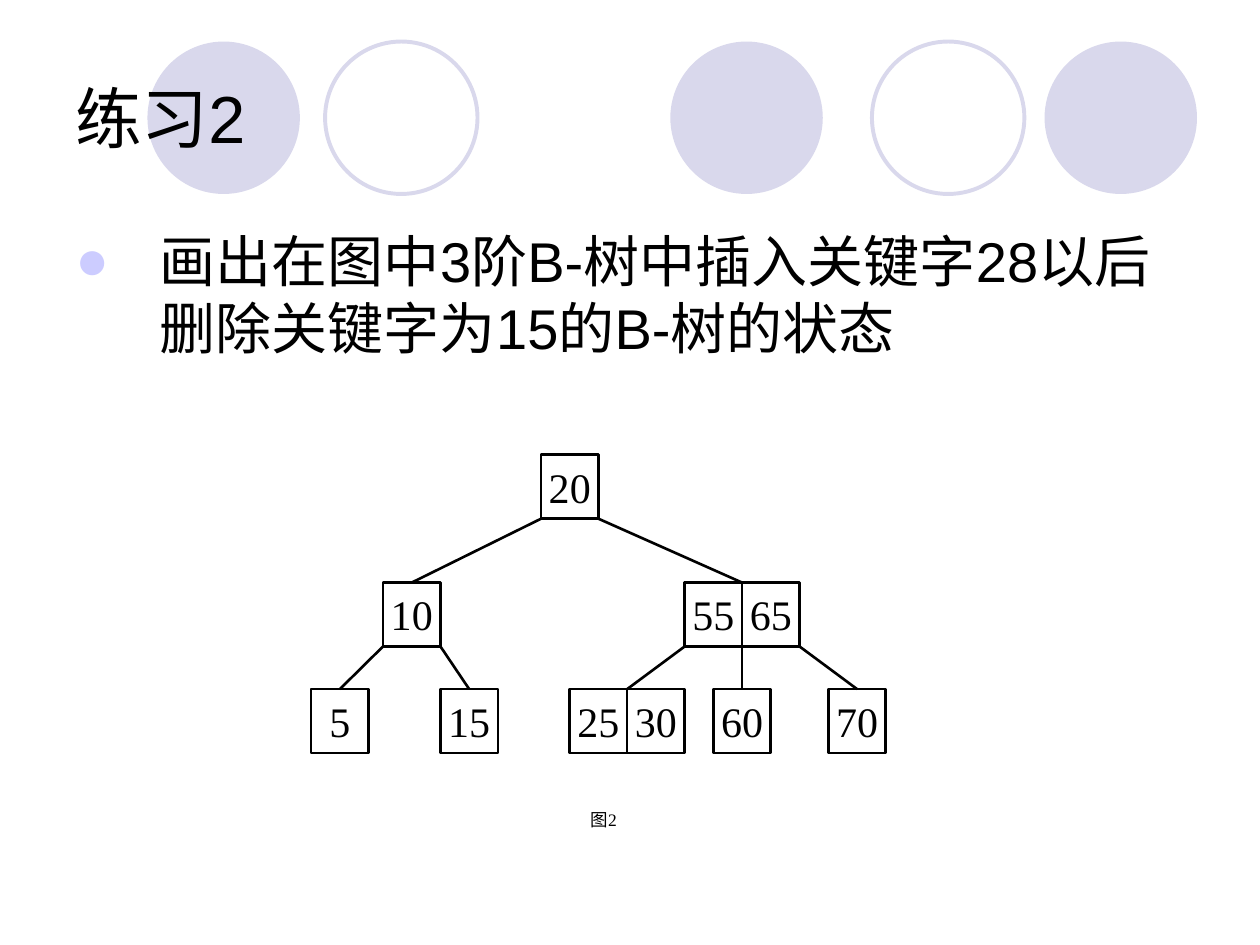
"""Build the B-tree exercise slide."""
from dataclasses import dataclass

from lxml import etree
from pptx import Presentation
from pptx.dml.color import RGBColor
from pptx.enum.shapes import MSO_CONNECTOR, MSO_SHAPE
from pptx.enum.text import MSO_ANCHOR, PP_ALIGN
from pptx.oxml.ns import qn
from pptx.util import Inches, Pt

OVAL, RECT = MSO_SHAPE.OVAL, MSO_SHAPE.RECTANGLE
STRAIGHT = MSO_CONNECTOR.STRAIGHT
TOP, MIDDLE = MSO_ANCHOR.TOP, MSO_ANCHOR.MIDDLE
LEFT, CENTER = PP_ALIGN.LEFT, PP_ALIGN.CENTER


@dataclass(frozen=True)
class Theme:
    ink: str = "000000"
    paper: str = "FFFFFF"
    circle: str = "D9D8EC"
    bullet: str = "CCCCFF"
    sans: str = "Arial"
    serif: str = "Times New Roman"
    title: int = 38
    body: int = 32
    key: int = 24
    caption: int = 10
    ring: float = 2.25
    edge: float = 1.5


@dataclass(frozen=True)
class Grid:
    left: float
    top: float
    col: float
    row: float

    def x(self, cols: float) -> int:
        return Inches(self.left + cols * self.col)

    def y(self, rows: float) -> int:
        return Inches(self.top + rows * self.row)

    def box(self, col: float, row: float, cols: float, rows: float) -> tuple:
        return (self.x(col), self.y(row),
                Inches(cols * self.col), Inches(rows * self.row))


@dataclass(frozen=True)
class Circle:
    col: float
    filled: bool


@dataclass(frozen=True)
class Node:
    col: int
    level: int
    keys: tuple


@dataclass(frozen=True)
class Edge:
    parent: str
    slot: int
    child: str


THEME = Theme()
PAGE = Grid(0, 0, 0.1, 0.1)
TREE = Grid(2.47, 3.61, 0.114, 0.169)
KEY_COLS, KEY_ROWS = 4, 3
LEVEL_ROWS = (0, 6, 11)
CIRCLE_ROW, CIRCLE_SIZE = 3.3, 12.1

CIRCLES = [Circle(53.2, True), Circle(82.9, True), Circle(11.7, True),
           Circle(69.2, False), Circle(25.8, False)]
NODES = {
    "root": Node(16, 0, ("20",)),
    "left": Node(5, 1, ("10",)),
    "right": Node(26, 1, ("55", "65")),
    "leaf1": Node(0, 2, ("5",)),
    "leaf2": Node(9, 2, ("15",)),
    "leaf3": Node(18, 2, ("25", "30")),
    "leaf4": Node(28, 2, ("60",)),
    "leaf5": Node(36, 2, ("70",)),
}
EDGES = [Edge("root", 0, "left"), Edge("root", 1, "right"),
         Edge("left", 0, "leaf1"), Edge("left", 1, "leaf2"),
         Edge("right", 0, "leaf3"), Edge("right", 1, "leaf4"),
         Edge("right", 2, "leaf5")]


def rgb(value: str) -> RGBColor:
    return RGBColor.from_string(value)


def add_shape(s, kind, box: tuple, fill: str | None = None,
              line: str | None = None, width: float = 0):
    """Add a flat preset shape."""
    sp = s.shapes.add_shape(kind, *box)
    sp.shadow.inherit = False
    if fill:
        sp.fill.solid()
        sp.fill.fore_color.rgb = rgb(fill)
    else:
        sp.fill.background()
    if line:
        sp.line.color.rgb = rgb(line)
        sp.line.width = Pt(width)
    else:
        sp.line.fill.background()
    return sp


def write(sp, text: str, size: int, font: str, align=LEFT, anchor=TOP):
    """Write one run and return its paragraph."""
    tf = sp.text_frame
    tf.word_wrap = True
    tf.vertical_anchor = anchor
    p = tf.paragraphs[0]
    p.alignment = align
    r = p.add_run()
    r.text = text
    r.font.size = Pt(size)
    r.font.name = font
    r.font.color.rgb = rgb(THEME.ink)
    return p


def add_bullet(p, indent: float) -> None:
    """Give a paragraph a coloured round bullet with a hanging indent."""
    pPr = p._p.get_or_add_pPr()
    pPr.set("marL", str(Inches(indent)))
    pPr.set("indent", str(-Inches(indent)))
    color = etree.SubElement(pPr, qn("a:buClr"))
    etree.SubElement(color, qn("a:srgbClr"), val=THEME.bullet)
    etree.SubElement(pPr, qn("a:buFont"), typeface=THEME.sans)
    etree.SubElement(pPr, qn("a:buChar"), char="●")


def add_node(s, node: Node) -> list:
    """Draw a node as one box per key."""
    boxes = []
    for i, key in enumerate(node.keys):
        box = TREE.box(node.col + i * KEY_COLS, LEVEL_ROWS[node.level],
                       KEY_COLS, KEY_ROWS)
        sp = add_shape(s, RECT, box, THEME.paper, THEME.ink, THEME.edge)
        sp.text_frame.margin_left = sp.text_frame.margin_right = 0
        write(sp, key, THEME.key, THEME.serif, CENTER)
        boxes.append(sp)
    return boxes


def add_edge(s, edge: Edge, boxes: dict) -> None:
    """Link a parent's slot to the top middle of its child."""
    parent, child = NODES[edge.parent], NODES[edge.child]
    cn = s.shapes.add_connector(
        STRAIGHT,
        TREE.x(parent.col + edge.slot * KEY_COLS),
        TREE.y(LEVEL_ROWS[parent.level] + KEY_ROWS),
        TREE.x(child.col + len(child.keys) * KEY_COLS / 2),
        TREE.y(LEVEL_ROWS[child.level]))
    if len(child.keys) == 1:
        cn.end_connect(boxes[edge.child][0], 0)
    cn.line.color.rgb = rgb(THEME.ink)
    cn.line.width = Pt(THEME.edge)
    etree.SubElement(cn._element.spPr, qn("a:effectLst"))


def main() -> None:
    prs = Presentation()
    prs.slide_width, prs.slide_height = PAGE.x(100), PAGE.y(75)
    s = prs.slides.add_slide(prs.slide_layouts[6])

    for c in CIRCLES:
        box = PAGE.box(c.col, CIRCLE_ROW, CIRCLE_SIZE, CIRCLE_SIZE)
        if c.filled:
            add_shape(s, OVAL, box, fill=THEME.circle)
        else:
            add_shape(s, OVAL, box, line=THEME.circle, width=THEME.ring)

    title = s.shapes.add_textbox(*PAGE.box(5, 3, 90, 12.5))
    write(title, "练习2", THEME.title, THEME.sans, anchor=MIDDLE)
    body = s.shapes.add_textbox(*PAGE.box(5, 17.5, 90, 49.5))
    p = write(body, "画出在图中3阶B-树中插入关键字28以后删除关键字为15的B-树的状态",
              THEME.body, THEME.sans)
    add_bullet(p, 0.67)

    boxes = {name: add_node(s, node) for name, node in NODES.items()}
    for edge in EDGES:
        add_edge(s, edge, boxes)
    caption = add_shape(s, RECT, PAGE.box(45.9, 63.7, 7.8, 5.1), THEME.paper)
    write(caption, "图2", THEME.caption, THEME.serif)

    prs.save("out.pptx")


if __name__ == "__main__":
    main()
